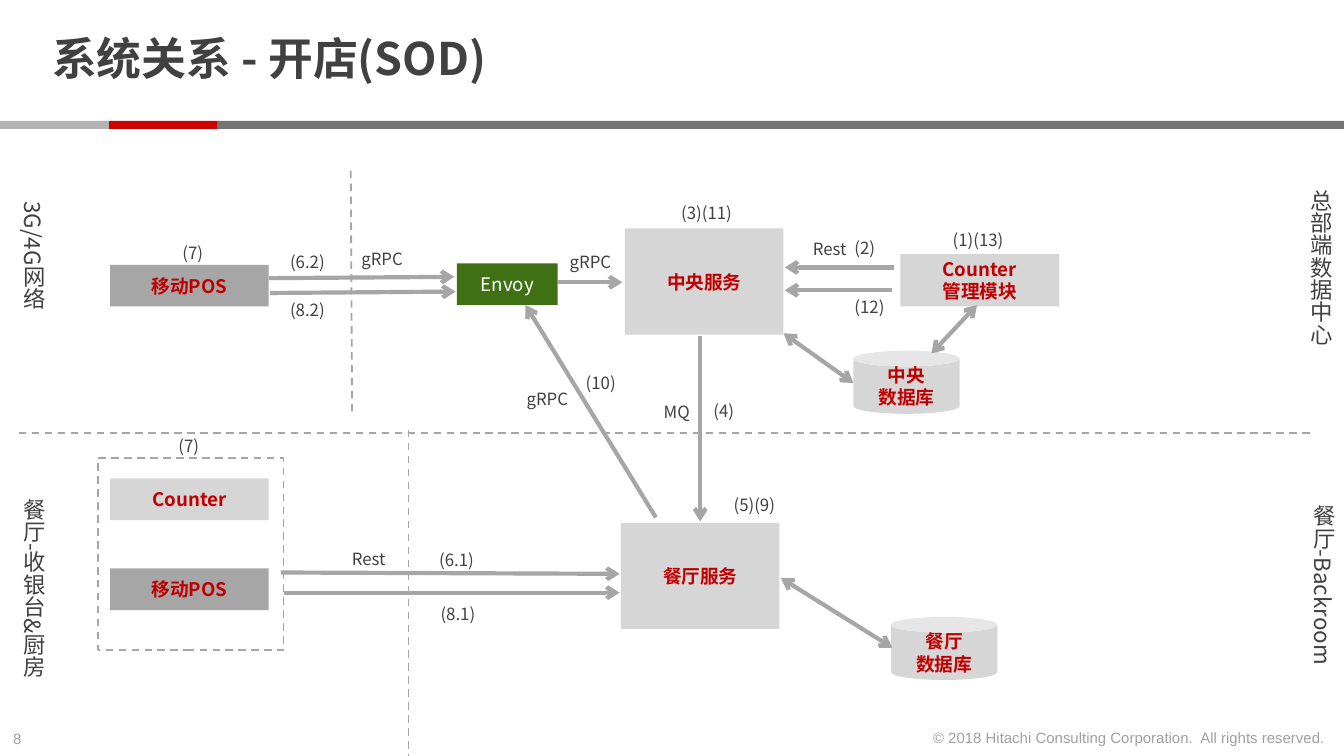
from lxml import etree
from pptx import Presentation
from pptx.dml import color
from pptx.enum import dml, shapes, text
from pptx.oxml import ns
from pptx.util import Inches, Pt

COLORS = {
    "ink": "414141", "red": "C00000", "white": "FFFFFF", "green": "407014",
    "light": "D6D6D6", "grey": "A6A6A6", "footer": "A0A0A0",
    "bar_dark": "737373", "bar_red": "CC0000", "bar_light": "B3B3B3",
}
CJK = "Noto Sans CJK SC"
RECTANGLE = shapes.MSO_SHAPE.RECTANGLE
CAN = shapes.MSO_SHAPE.CAN
LEFT, CENTER, RIGHT = text.PP_ALIGN.LEFT, text.PP_ALIGN.CENTER, text.PP_ALIGN.RIGHT

TITLE = "系统关系 - 开店(SOD)"
PAGE_NUMBER = "8"
COPYRIGHT = "© 2018 Hitachi Consulting Corporation.\u00a0 All rights reserved."

BARS = [(1.62, 8.38, "bar_dark"), (0.81, 0.81, "bar_red"), (0, 0.81, "bar_light")]
DIVIDERS = [(0.14, 3.22, 9.78, 3.22), (3.04, 3.2, 3.04, 5.64), (2.61, 1.27, 2.62, 3.08)]
ZONES = [
    ("餐厅-收银台&厨房", 0, 3.61, 1.5),
    ("餐厅-Backroom", 9.6, 3.66, 1.32),
    ("3G/4G网络", 0, 1.4, 0.95),
    ("总部端数据中心", 9.58, 1.31, 1.28),
]
DEVICE, SERVICE, DATABASE = (1.18, 0.31), (1.18, 0.79), (0.79, 0.47)
NODES = [
    ("Counter", RECTANGLE, (0.82, 3.56), DEVICE, "light"),
    ("移动POS", RECTANGLE, (0.82, 4.23), DEVICE, "grey"),
    ("移动POS", RECTANGLE, (0.82, 1.97), DEVICE, "grey"),
    ("中央服务", RECTANGLE, (4.65, 1.7), SERVICE, "light"),
    ("餐厅服务", RECTANGLE, (4.62, 3.89), SERVICE, "light"),
    ("Counter\n管理模块", RECTANGLE, (6.7, 1.89), (1.18, 0.39), "light"),
    ("餐厅\n数据库", CAN, (6.63, 4.59), DATABASE, "light"),
    ("中央\n数据库", CAN, (6.35, 2.61), DATABASE, "light"),
    ("Envoy", RECTANGLE, (3.4, 1.96), (0.75, 0.31), "green"),
]
ONE_WAY = [
    (2, 2.07, 3.38, 2.06), (2.01, 2.18, 3.39, 2.17), (4.15, 2.1, 4.63, 2.1),
    (6.65, 1.99, 5.84, 1.99), (6.64, 2.16, 5.84, 2.16), (5.21, 2.5, 5.21, 3.88),
    (4.88, 3.85, 3.91, 2.27), (2.09, 4.26, 4.61, 4.27), (2.11, 4.41, 4.61, 4.41),
]
TWO_WAY = [(5.83, 2.48, 6.35, 2.85), (6.93, 2.63, 7.27, 2.27), (5.81, 4.3, 6.64, 4.82)]
LABELS = [
    ("Rest", 5.95, 1.73, 0.46), ("gRPC", 4.14, 1.82, 0.53), ("gRPC", 2.59, 1.8, 0.53),
    ("MQ", 4.84, 2.94, 0.43), ("Rest", 2.52, 4.03, 0.46), ("gRPC", 3.82, 2.84, 0.53),
    ("(1)(13)", 6.99, 1.66, 0.59), ("(2)", 6.26, 1.72, 0.36), ("(3)(11)", 4.97, 1.46, 0.59),
    ("(4)", 5.21, 2.93, 0.36), ("(5)(9)", 5.36, 3.63, 0.52), ("(6.1)", 3.17, 4.04, 0.46),
    ("(6.2)", 2.06, 1.82, 0.46), ("(8.1)", 3.18, 4.44, 0.46), ("(8.2)", 2.06, 2.18, 0.46),
    ("(10)", 4.26, 2.72, 0.43), ("(12)", 6.26, 2.16, 0.43),
    ("(7)", 1.23, 3.19, 0.36), ("(7)", 1.26, 1.76, 0.36),
]


def rgb(name):
    return color.RGBColor.from_string(COLORS[name])


def write(shape, content, size, ink="ink", bold=False, align=LEFT, font=CJK):
    shape.text_frame.text = content
    for paragraph in shape.text_frame.paragraphs:
        paragraph.alignment = align
        for run in paragraph.runs:
            run.font.size = Pt(size)
            run.font.bold = bold
            run.font.color.rgb = rgb(ink)
            run.font.name = font
            east_asian = etree.SubElement(run.font._element, ns.qn("a:ea"))
            east_asian.set("typeface", font)


def add_text(slide, content, left, top, width, height, size, **style):
    box = slide.shapes.add_textbox(*map(Inches, (left, top, width, height)))
    box.text_frame.word_wrap = False
    write(box, content, size, **style)
    return box


def add_block(slide, kind, left, top, width, height, fill=None):
    block = slide.shapes.add_shape(kind, *map(Inches, (left, top, width, height)))
    block.shadow.inherit = False
    if fill:
        block.fill.solid()
        block.fill.fore_color.rgb = rgb(fill)
        block.line.fill.background()
    else:
        block.fill.background()
        style_dashed(block.line)
    return block


def style_dashed(line):
    line.color.rgb = rgb("grey")
    line.width = Pt(1)
    line.dash_style = dml.MSO_LINE.DASH


def add_line(slide, ends):
    connector = slide.shapes.add_connector(shapes.MSO_CONNECTOR.STRAIGHT, *map(Inches, ends))
    style_dashed(connector.line)
    etree.SubElement(connector._element.spPr, ns.qn("a:effectLst"))
    return connector


def add_arrow(slide, ends, heads):
    line = add_line(slide, ends).line
    line.width = Pt(2.25)
    line.dash_style = None
    for head in heads:
        etree.SubElement(line._get_or_add_ln(), ns.qn(head)).set("type", "arrow")


def main():
    presentation = Presentation()
    presentation.slide_width = Inches(10)
    presentation.slide_height = Inches(10) * 9 // 16
    slide = presentation.slides.add_slide(presentation.slide_layouts[6])

    for left, width, fill in BARS:
        add_block(slide, RECTANGLE, left, 0.9, width, 0.06, fill)
    add_text(slide, PAGE_NUMBER, 0, 5.38, 0.34, 0.24, 8, ink="footer", font="Arial")
    add_text(slide, COPYRIGHT, 6.8, 5.37, 3.16, 0.24, 8, ink="footer", align=RIGHT, font="Arial")

    title = add_text(slide, TITLE, 0.29, 0.06, 7.71, 0.8, 24, bold=True)
    frame = title.text_frame
    frame.word_wrap = True
    frame.vertical_anchor = text.MSO_ANCHOR.MIDDLE
    frame.margin_top = frame.margin_bottom = 0
    frame.paragraphs[0].line_spacing = 0.85

    for ends in DIVIDERS:
        add_line(slide, ends)
    for content, left, top, height in ZONES:
        zone = add_text(slide, content, left, top, 0.4, height, 12)
        zone.text_frame._txBody.bodyPr.set("vert", "eaVert")

    add_block(slide, RECTANGLE, 0.73, 3.41, 1.38, 1.43)
    for content, kind, position, size, fill in NODES:
        node = add_block(slide, kind, *position, *size, fill)
        node.text_frame.vertical_anchor = text.MSO_ANCHOR.MIDDLE
        on_green = fill == "green"
        write(node, content, 10, "white" if on_green else "red", not on_green, CENTER)

    for ends in ONE_WAY:
        add_arrow(slide, ends, ["a:tailEnd"])
    for ends in TWO_WAY:
        add_arrow(slide, ends, ["a:headEnd", "a:tailEnd"])
    for content, left, top, width in LABELS:
        add_text(slide, content, left, top, width, 0.25, 9)

    presentation.save("out.pptx")


if __name__ == "__main__":
    main()
